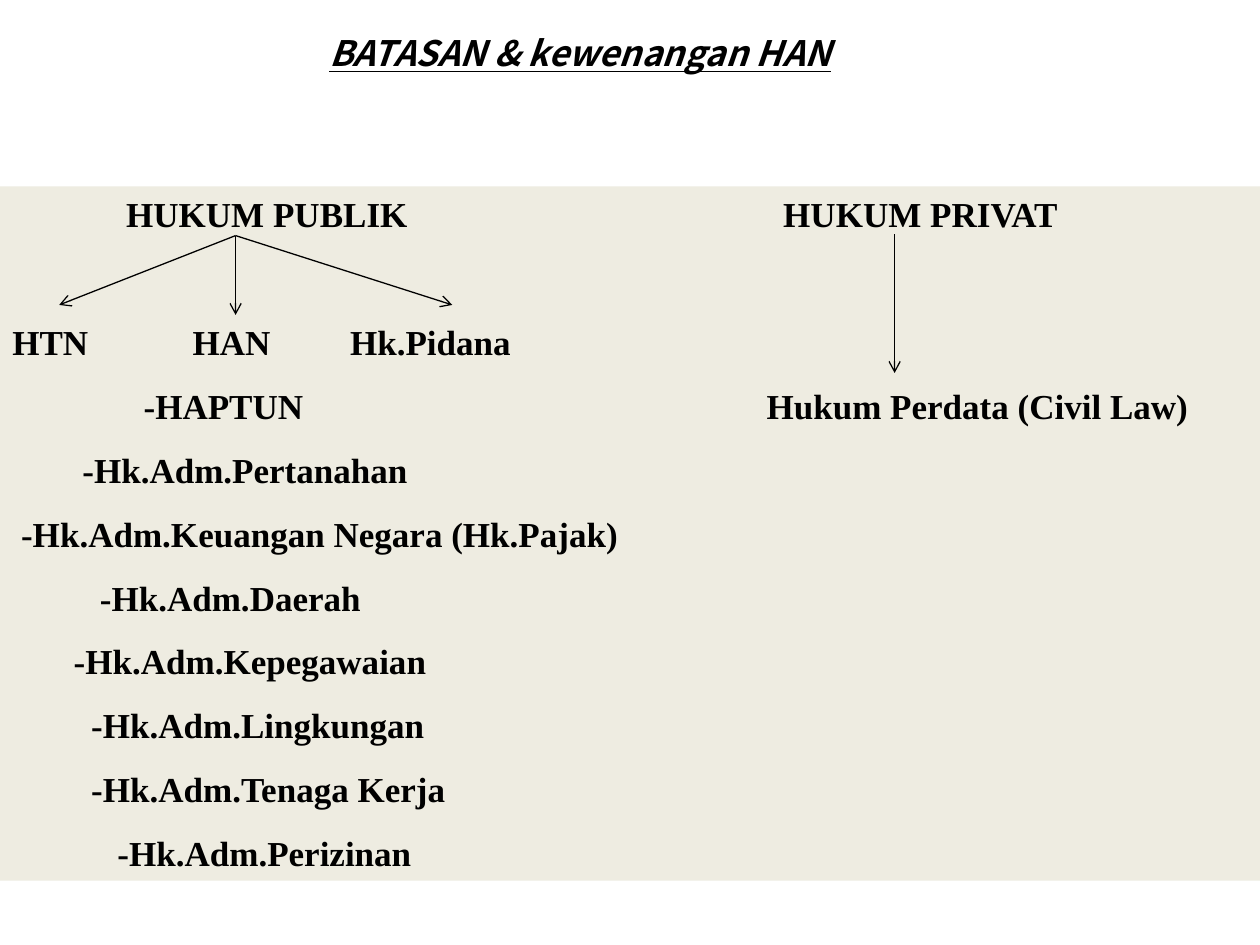
from lxml.etree import SubElement
from pptx import Presentation
from pptx.dml.color import RGBColor
from pptx.enum.shapes import MSO_CONNECTOR, MSO_SHAPE
from pptx.enum.text import MSO_ANCHOR, PP_ALIGN
from pptx.oxml.ns import qn
from pptx.util import Emu, Inches, Pt

WIDTH, HEIGHT = Inches(10), Inches(7.5)
BLACK, SAND = "000000", "EEECE1"
LINE_HEIGHT, GAP = 24, 12.5
SPACE_WIDTH = 5

FIELDS_OF_LAW = [
    [(13, "HUKUM PUBLIK"), (88.1, "HUKUM PRIVAT")],
    [(0, "HTN"), (20.6, "HAN"), (38.6, "Hk.Pidana")],
    [(15, "-HAPTUN"), (86.2, "Hukum Perdata (Civil Law)")],
    [(8, "-Hk.Adm.Pertanahan")],
    [(1, "-Hk.Adm.Keuangan Negara (Hk.Pajak)")],
    [(10, "-Hk.Adm.Daerah")],
    [(7, "-Hk.Adm.Kepegawaian")],
    [(9, "-Hk.Adm.Lingkungan")],
    [(9, "-Hk.Adm.Tenaga Kerja")],
    [(12, "-Hk.Adm.Perizinan")],
]
BRANCHES = [
    ((18.7, 24.93), (18.7, 33.33)),
    ((18.7, 24.93), (35.9, 32.27)),
    ((18.7, 24.93), (4.7, 32.27)),
    ((71, 24.8), (71, 39.47)),
]


def across(percent):
    return Emu(round(WIDTH * percent / 100))


def down(percent):
    return Emu(round(HEIGHT * percent / 100))


def paint(color_format, value):
    color_format.rgb = RGBColor.from_string(value)


def add_text(paragraph, words, typeface):
    run = paragraph.add_run()
    run.text = words
    run.font.name = typeface
    run.font.size = Pt(20)
    run.font.bold = True
    paint(run.font.color, BLACK)
    return run


def write_heading(slide, words):
    heading = slide.shapes.title
    heading.left, heading.top = across(4.3), down(2.93)
    heading.width, heading.height = across(83.5), down(5.2)
    frame = heading.text_frame
    frame.vertical_anchor = MSO_ANCHOR.MIDDLE
    paragraph = frame.paragraphs[0]
    paragraph.alignment = PP_ALIGN.CENTER
    run = add_text(paragraph, words, "Noto Sans CJK KR")
    run.font.italic = True
    run.font.underline = True


def write_entries(paragraph, entries, gap):
    paragraph.alignment = PP_ALIGN.LEFT
    paragraph.line_spacing = Pt(LINE_HEIGHT)
    paragraph.space_before = Pt(gap)
    stops = SubElement(paragraph._p.get_or_add_pPr(), qn("a:tabLst"))
    for column, words in entries:
        if column:
            position = Pt(column * SPACE_WIDTH)
            SubElement(stops, qn("a:tab"), pos=str(int(position)), algn="l")
        add_text(paragraph, "\t" + words if column else words, "Times New Roman")


def add_overview(slide):
    overview = slide.shapes.add_shape(
        MSO_SHAPE.RECTANGLE, 0, down(19.73), WIDTH, down(73.47))
    overview.shadow.inherit = False
    overview.fill.solid()
    paint(overview.fill.fore_color, SAND)
    overview.line.fill.background()
    frame = overview.text_frame
    frame.word_wrap = True
    frame.vertical_anchor = MSO_ANCHOR.TOP
    gaps = [0, LINE_HEIGHT + 2 * GAP]
    for row, entries in enumerate(FIELDS_OF_LAW):
        paragraph = frame.add_paragraph() if row else frame.paragraphs[0]
        write_entries(paragraph, entries, gaps[row] if row < len(gaps) else GAP)


def add_branch(slide, start, end):
    branch = slide.shapes.add_connector(
        MSO_CONNECTOR.STRAIGHT,
        across(start[0]), down(start[1]), across(end[0]), down(end[1]))
    paint(branch.line.color, BLACK)
    branch.line.width = Pt(0.74)
    SubElement(branch.line._get_or_add_ln(), qn("a:tailEnd"), type="arrow")
    SubElement(branch._element.spPr, qn("a:effectLst"))


def main():
    deck = Presentation()
    deck.slide_width, deck.slide_height = WIDTH, HEIGHT
    slide = deck.slides.add_slide(deck.slide_layouts[5])
    write_heading(slide, "BATASAN & kewenangan HAN")
    add_overview(slide)
    for start, end in BRANCHES:
        add_branch(slide, start, end)
    deck.save("out.pptx")


main()
